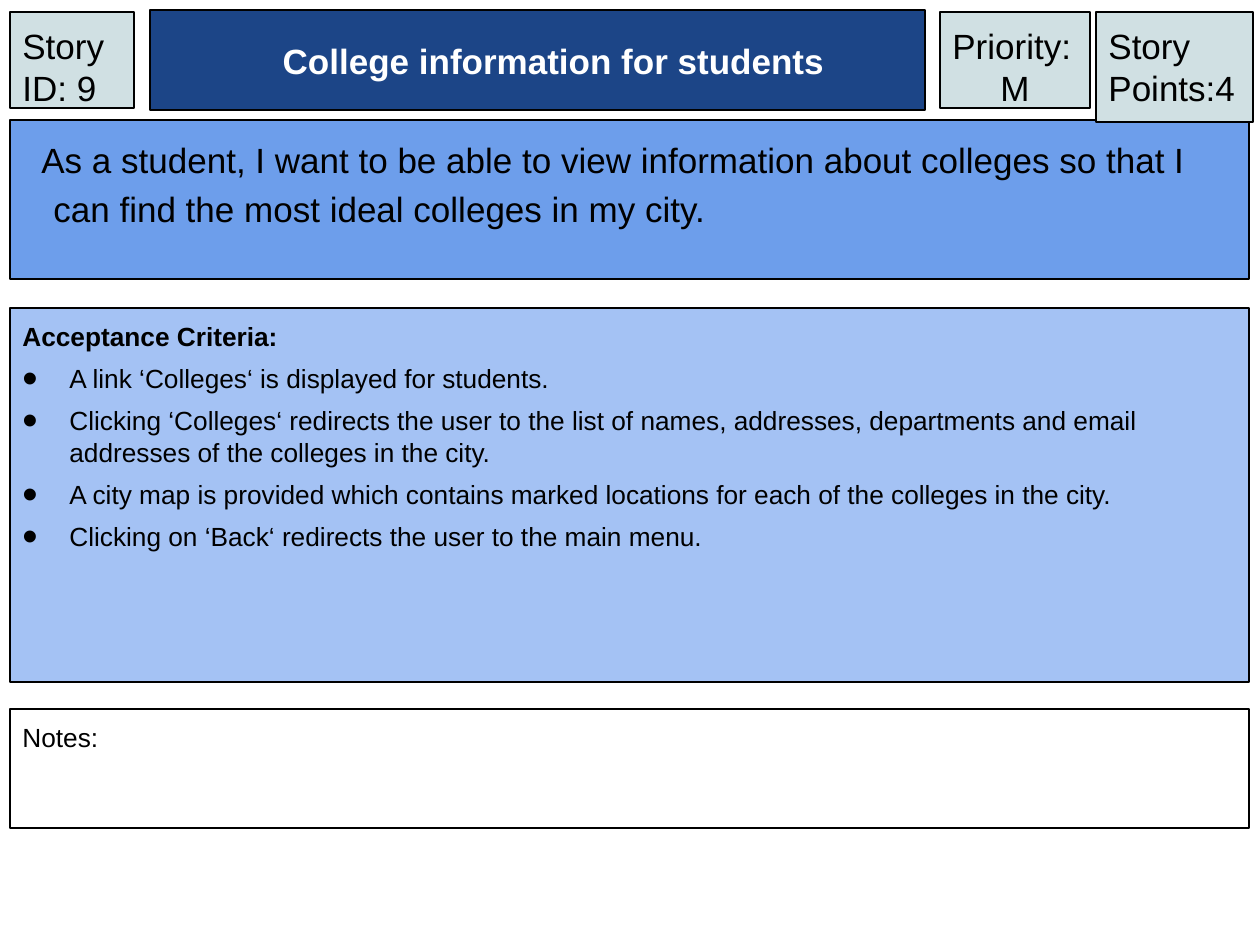
from dataclasses import dataclass

from lxml.etree import SubElement
from pptx import Presentation
from pptx.dml.color import RGBColor
from pptx.enum.shapes import MSO_SHAPE
from pptx.enum.text import MSO_ANCHOR, MSO_AUTO_SIZE, PP_ALIGN
from pptx.oxml.ns import qn
from pptx.util import Pt

PIXEL = 914400 // 126
FONT = "Arial"
COLORS = {
    "black": "000000",
    "white": "FFFFFF",
    "navy": "1C4587",
    "blue": "6D9EEB",
    "light_blue": "A4C2F4",
    "grey": "D0E0E3",
}


@dataclass(frozen=True)
class Line:
    text: str
    size: int = 20
    color: str = "black"
    bold: bool = False
    bullet: bool = False
    align: PP_ALIGN = PP_ALIGN.LEFT
    margin: int = 0
    indent: int = 0
    before: int = 0
    spacing: float = 1.0


@dataclass(frozen=True)
class Box:
    left: int
    top: int
    width: int
    height: int
    fill: str
    lines: tuple[Line, ...]
    anchor: MSO_ANCHOR = MSO_ANCHOR.TOP


def px(value: int) -> int:
    return value * PIXEL


def rgb(name: str) -> RGBColor:
    return RGBColor.from_string(COLORS[name])


def detail(text: str, bold: bool = False, bullet: bool = True) -> Line:
    return Line(text, 15, bold=bold, bullet=bullet, margin=47, indent=-47, before=6)


def add_bullet(properties, color: str) -> None:
    bullet_color = SubElement(properties, qn("a:buClr"))
    SubElement(bullet_color, qn("a:srgbClr"), val=COLORS[color])
    SubElement(properties, qn("a:buSzPct"), val="167000")
    SubElement(properties, qn("a:buFont"), typeface=FONT)
    SubElement(properties, qn("a:buChar"), char="•")


def write_line(paragraph, line: Line) -> None:
    paragraph.alignment = line.align
    paragraph.line_spacing = line.spacing
    paragraph.space_before = Pt(line.before)
    properties = paragraph._p.get_or_add_pPr()
    properties.set("marL", str(px(line.margin)))
    properties.set("indent", str(px(line.indent)))
    if line.bullet:
        add_bullet(properties, line.color)
    run = paragraph.add_run()
    run.text = line.text
    run.font.name = FONT
    run.font.size = Pt(line.size)
    run.font.bold = line.bold
    run.font.color.rgb = rgb(line.color)


def draw_box(slide, box: Box) -> None:
    shape = slide.shapes.add_shape(
        MSO_SHAPE.RECTANGLE, px(box.left), px(box.top), px(box.width), px(box.height)
    )
    shape.shadow.inherit = False
    shape.fill.solid()
    shape.fill.fore_color.rgb = rgb(box.fill)
    shape.line.color.rgb = rgb("black")
    shape.line.width = Pt(0.75)
    frame = shape.text_frame
    frame.word_wrap = True
    frame.auto_size = MSO_AUTO_SIZE.NONE
    frame.vertical_anchor = box.anchor
    frame.margin_left = frame.margin_right = Pt(7.2)
    frame.margin_top = frame.margin_bottom = Pt(7.2)
    for index, line in enumerate(box.lines):
        paragraph = frame.add_paragraph() if index else frame.paragraphs[0]
        write_line(paragraph, line)


STORY = Line(
    "As a student, I want to be able to view information about colleges "
    "so that I can find the most ideal colleges in my city.",
    margin=31, indent=-12, spacing=1.15,
)
TITLE = Line(
    "College information for students",
    color="white", bold=True, align=PP_ALIGN.CENTER, indent=32,
)
CRITERIA = (
    "A link ‘Colleges‘ is displayed for students.",
    "Clicking ‘Colleges‘ redirects the user to the list of names, addresses, "
    "departments and email addresses of the colleges in the city.",
    "A city map is provided which contains marked locations for each of the "
    "colleges in the city.",
    "Clicking on ‘Back‘ redirects the user to the main menu.",
)
BOXES = (
    # Story, title, criteria and notes
    Box(10, 120, 1239, 159, "blue", (STORY,)),
    Box(150, 10, 775, 100, "navy", (TITLE,), MSO_ANCHOR.MIDDLE),
    Box(10, 308, 1239, 374, "light_blue", (
        detail("Acceptance Criteria:", bold=True, bullet=False),
        *(detail(text) for text in CRITERIA),
    )),
    Box(10, 709, 1239, 119, "white", (detail("Notes:", bullet=False),)),
    # Header labels
    Box(1096, 12, 157, 110, "grey", (Line("Story Points:4"),)),
    Box(940, 12, 150, 96, "grey", (
        Line("Priority:"), Line("M", align=PP_ALIGN.CENTER),
    )),
    Box(10, 12, 124, 96, "grey", (Line("Story ID: 9"),)),
)

presentation = Presentation()
presentation.slide_width = px(1260)
presentation.slide_height = px(945)
slide = presentation.slides.add_slide(presentation.slide_layouts[6])
for story_box in BOXES:
    draw_box(slide, story_box)
presentation.save("out.pptx")
